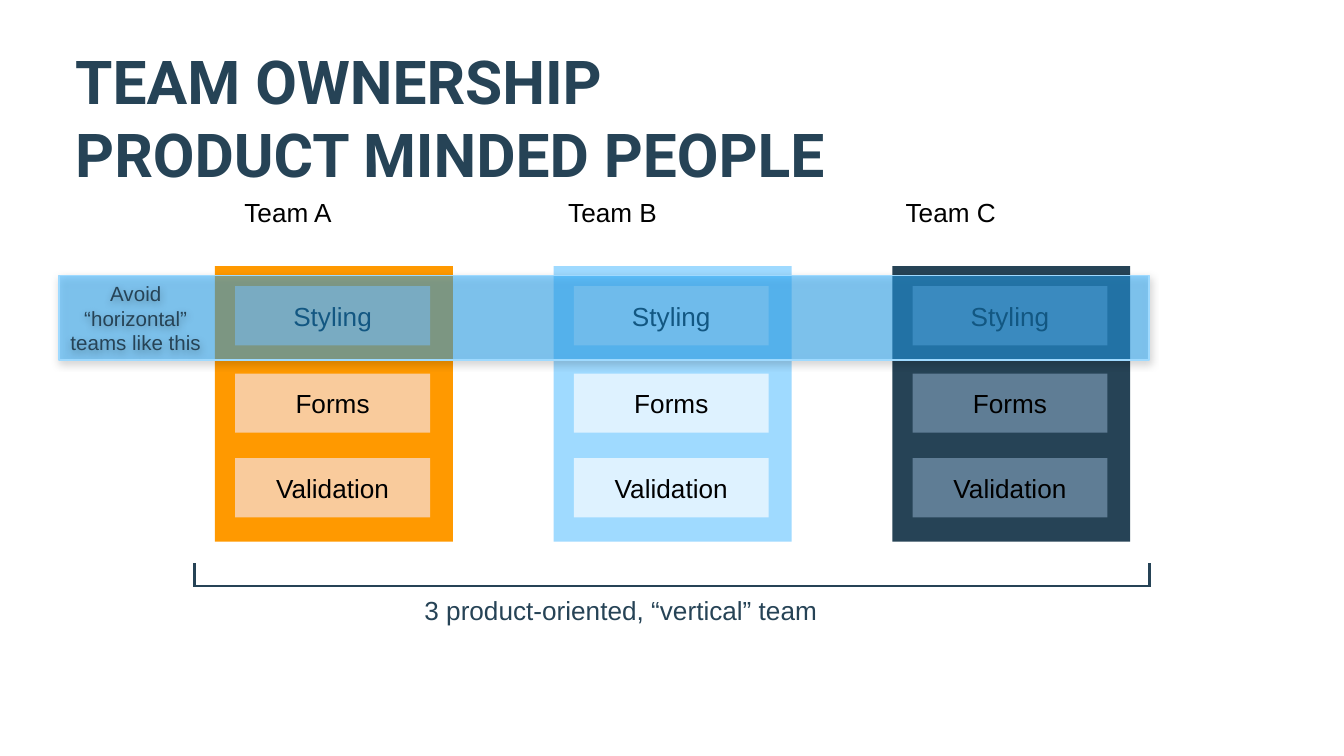
from lxml import etree
from pptx import Presentation
from pptx.dml.color import RGBColor
from pptx.enum import shapes, text
from pptx.oxml import parse_xml
from pptx.oxml.ns import nsdecls, qn
from pptx.util import Inches, Pt

NAVY, SKY, BLACK = "264356", "9FDAFF", "000000"
SHADOW = (
    f'<a:effectLst {nsdecls("a")}>'
    '<a:outerShdw blurRad="57150" dist="19050" dir="5400000" algn="bl" rotWithShape="0">'
    '<a:srgbClr val="000000"><a:alpha val="30000"/></a:srgbClr>'
    '</a:outerShdw></a:effectLst>'
)


def paint(target, color):
    """Give a fill, line or font a solid colour from a hex string."""
    if hasattr(target, "solid"):
        target.solid()
        target.fore_color.rgb = RGBColor.from_string(color)
    else:
        target.color.rgb = RGBColor.from_string(color)


def write(box, words, size, color, align=text.PP_ALIGN.LEFT,
          anchor=text.MSO_ANCHOR.TOP, font="Arial"):
    frame = box.text_frame
    frame.text = words
    frame.word_wrap = True
    frame.vertical_anchor = anchor
    frame.margin_left = frame.margin_right = Inches(0.1)
    frame.margin_top = frame.margin_bottom = Inches(0.1)
    para = frame.paragraphs[0]
    para.alignment = align
    span = para.runs[0]
    span.font.name = font
    span.font.size = Pt(size)
    paint(span.font, color)
    return span


deck = Presentation()
deck.slide_width = Inches(10)
deck.slide_height = deck.slide_width * 9 // 16
page = deck.slides.add_slide(deck.slide_layouts[5])

title = page.shapes.title
title.left, title.top = Inches(0.46), Inches(0.23)
title.width, title.height = Inches(5.85), Inches(0.98)
heading = write(title, "TEAM OWNERSHIP PRODUCT MINDED PEOPLE", 32.4, NAVY, font="Roboto")
heading.font.bold = True
title.text_frame.auto_size = text.MSO_AUTO_SIZE.NONE

# Team columns from right to left, each with its three areas of work
column_colors = [(NAVY, "5F7D95"), (SKY, "DEF2FF"), ("FF9900", "F9CB9C")]
areas = [("Forms", 2.78), ("Styling", 2.13), ("Validation", 3.41)]
for number, (column_color, area_color) in enumerate(column_colors):
    left = 6.64 - 2.52 * number
    team = page.shapes.add_group_shape()
    blocks = [("", left, 1.98, 1.77, 2.05, column_color)]
    blocks += [(area, left + 0.15, top, 1.45, 0.44, area_color) for area, top in areas]
    for words, x, y, width, height, color in blocks:
        block = team.shapes.add_shape(shapes.MSO_SHAPE.RECTANGLE, Inches(x), Inches(y),
                                      Inches(width), Inches(height))
        block.shadow.inherit = False
        paint(block.fill, color)
        block.line.fill.background()
        if words:
            write(block, words, 14, BLACK, text.PP_ALIGN.CENTER, text.MSO_ANCHOR.MIDDLE)

# Translucent band across all teams
band = page.shapes.add_shape(shapes.MSO_SHAPE.RECTANGLE, Inches(0.44), Inches(2.05),
                             Inches(8.11), Inches(0.63))
paint(band.fill, "25ABFF")
band_color = band._element.spPr.find(qn("a:solidFill")).find(qn("a:srgbClr"))
etree.SubElement(band_color, qn("a:alpha")).set("val", "51000")
paint(band.line, SKY)
band.line.width = Pt(0.75)
band._element.spPr.append(parse_xml(SHADOW))

# Bracket under the teams
bracket = page.shapes.add_group_shape()
for x1, y1, x2, y2 in [(1.45, 4.19, 1.45, 4.37), (1.45, 4.36, 8.55, 4.36),
                       (8.55, 4.19, 8.55, 4.37)]:
    stroke = bracket.shapes.add_connector(shapes.MSO_CONNECTOR.STRAIGHT, Inches(x1),
                                          Inches(y1), Inches(x2), Inches(y2))
    paint(stroke.line, NAVY)
    stroke.line.width = Pt(1.5)
    etree.SubElement(stroke._element.spPr, qn("a:effectLst"))

labels = [
    ("3 product-oriented, “vertical” team", 3.06, 4.32, 3.87, 0.44, 14, NAVY, text.PP_ALIGN.LEFT),
    ("Team A", 1.72, 1.36, 1.6, 0.44, 14, BLACK, text.PP_ALIGN.LEFT),
    ("Team B", 4.13, 1.36, 1.6, 0.44, 14, BLACK, text.PP_ALIGN.LEFT),
    ("Team C", 6.64, 1.36, 1.6, 0.44, 14, BLACK, text.PP_ALIGN.LEFT),
    ("Avoid “horizontal” teams like this ", 0.42, 1.99, 1.18, 0.76, 11, NAVY, text.PP_ALIGN.CENTER),
]
for words, x, y, width, height, size, color, align in labels:
    label = page.shapes.add_textbox(Inches(x), Inches(y), Inches(width), Inches(height))
    write(label, words, size, color, align)
    label.text_frame.auto_size = text.MSO_AUTO_SIZE.SHAPE_TO_FIT_TEXT
# The last label, the warning on the band, casts the band's shadow too
label._element.spPr.append(parse_xml(SHADOW))

deck.save("out.pptx")
